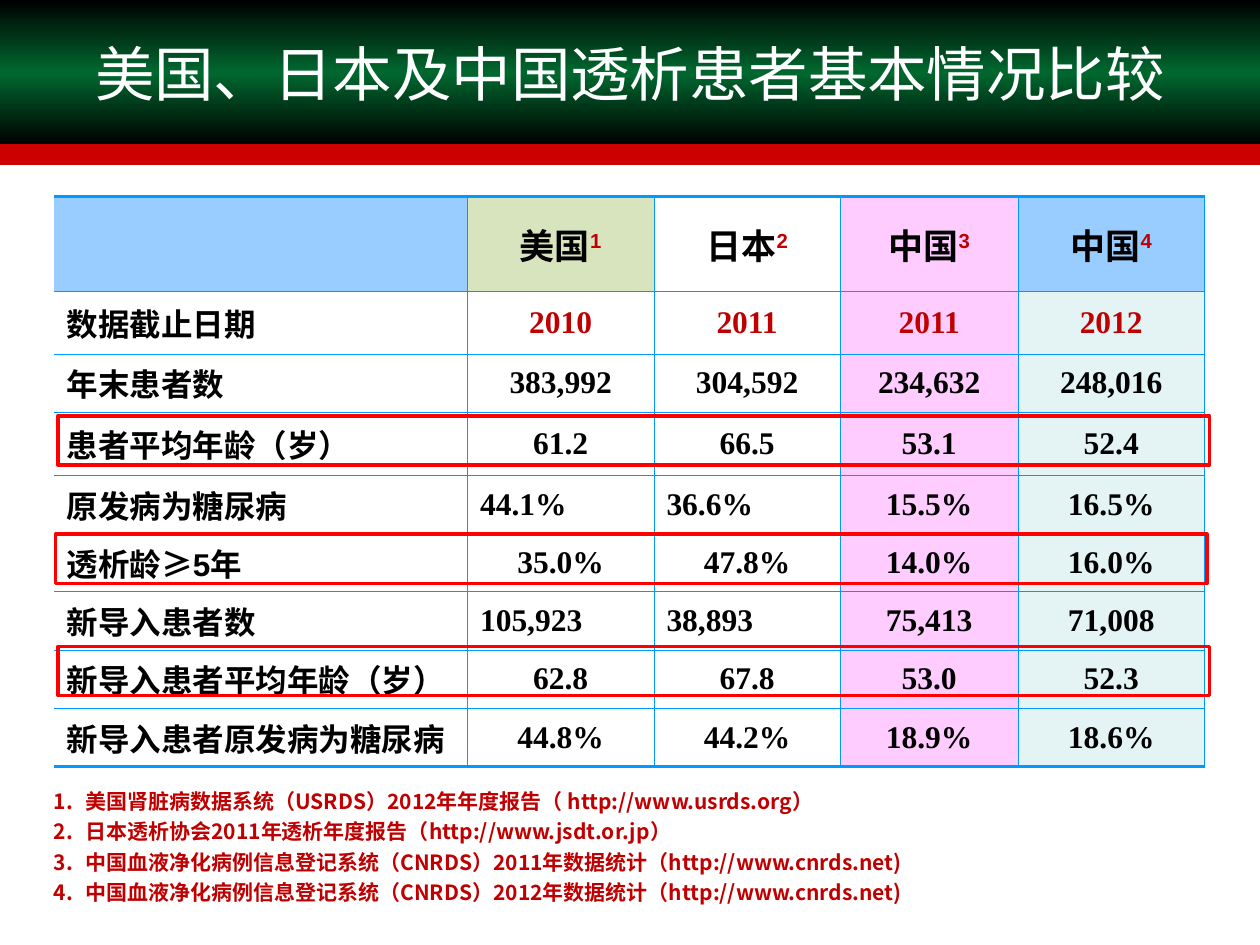
from copy import deepcopy

from lxml import etree
from pptx import Presentation
from pptx.dml.color import RGBColor
from pptx.enum.shapes import MSO_CONNECTOR, MSO_SHAPE
from pptx.enum.text import MSO_ANCHOR, MSO_AUTO_SIZE, PP_ALIGN
from pptx.oxml.ns import qn
from pptx.util import Inches, Pt

LEFT, CENTER = PP_ALIGN.LEFT, PP_ALIGN.CENTER
MIDDLE = MSO_ANCHOR.MIDDLE
NO_AUTOFIT = MSO_AUTO_SIZE.NONE
STRAIGHT = MSO_CONNECTOR.STRAIGHT
RECTANGLE = MSO_SHAPE.RECTANGLE

BLACK = RGBColor(0x00, 0x00, 0x00)
WHITE = RGBColor(0xFF, 0xFF, 0xFF)
GREEN = RGBColor(0x00, 0x68, 0x2F)
BAND_RED = RGBColor(0xCC, 0x00, 0x00)
DARK_RED = RGBColor(0xC0, 0x00, 0x00)
BRIGHT_RED = RGBColor(0xFF, 0x00, 0x00)
BORDER_BLUE = RGBColor(0x00, 0x99, 0xFF)
SKY = RGBColor(0x99, 0xCC, 0xFF)
OLIVE = RGBColor(0xD7, 0xE4, 0xBD)
PINK = RGBColor(0xFF, 0xCC, 0xFF)
MINT = RGBColor(0xE4, 0xF3, 0xF4)

SANS, SERIF, CHINESE = "Arial", "Times New Roman", "Noto Sans CJK SC"


def add_run(paragraph, text, size, font_name, color, bold=True):
    run = paragraph.add_run()
    run.text = text
    run.font.size = Pt(size)
    run.font.bold = bold
    run.font.color.rgb = color
    run.font.name = font_name
    properties = run._r.get_or_add_rPr()
    etree.SubElement(properties, qn("a:ea"), typeface=CHINESE)
    return properties


def set_borders(cell, widths):
    properties = cell._tc.get_or_add_tcPr()
    for position, (side, width) in enumerate(widths.items()):
        line = etree.Element(qn(f"a:ln{side}"), w=str(Pt(width)))
        if width:
            fill = etree.SubElement(line, qn("a:solidFill"))
            etree.SubElement(fill, qn("a:srgbClr"), val=str(BORDER_BLUE))
        else:
            etree.SubElement(line, qn("a:noFill"))
        properties.insert(position, line)


presentation = Presentation()
presentation.slide_width = Inches(10)
presentation.slide_height = Inches(7.5)
slide = presentation.slides.add_slide(presentation.slide_layouts[5])

title = slide.shapes.title
title.left, title.top = Inches(0), Inches(0)
title.width, title.height = Inches(10), Inches(1.15)
title.fill.gradient()
title.fill.gradient_angle = 90
stops = title.fill.gradient_stops
first_stop = stops[0]._gs
first_stop.addnext(deepcopy(first_stop))
for stop, color, position in zip(title.fill.gradient_stops, (BLACK, GREEN, BLACK), (0, 0.5, 1)):
    stop.color.rgb = color
    stop.position = position
title.text_frame.auto_size = NO_AUTOFIT
title.text_frame.vertical_anchor = MIDDLE
title_paragraph = title.text_frame.paragraphs[0]
title_paragraph.alignment = CENTER
add_run(title_paragraph, "美国、日本及中国透析患者基本情况比较", 34, SERIF, WHITE, False)

band = slide.shapes.add_connector(STRAIGHT, Inches(0), Inches(1.23), Inches(10), Inches(1.23))
band.line.color.rgb = BAND_RED
band.line.width = Pt(12)
etree.SubElement(band._element.spPr, qn("a:effectLst"))

headers = ["", "美国", "日本", "中国", "中国"]
rows = [
    ["数据截止日期", "2010", "2011", "2011", "2012"],
    ["年末患者数", "383,992", "304,592", "234,632", "248,016"],
    ["患者平均年龄（岁）", "61.2", "66.5", "53.1", "52.4"],
    ["原发病为糖尿病", "44.1%", "36.6%", "15.5%", "16.5%"],
    ["透析龄≥5年", "35.0%", "47.8%", "14.0%", "16.0%"],
    ["新导入患者数", "105,923", "38,893", "75,413", "71,008"],
    ["新导入患者平均年龄（岁）", "62.8", "67.8", "53.0", "52.3"],
    ["新导入患者原发病为糖尿病", "44.8%", "44.2%", "18.9%", "18.6%"],
]
header_fills = [SKY, OLIVE, None, PINK, SKY]
body_fills = [None, WHITE, None, PINK, MINT]
column_widths = [3.28, 1.48, 1.48, 1.41, 1.48]
row_heights = [0.75, 0.5, 0.44, 0.5] + [0.44] * 5
left_aligned_rows = (4, 6)

table = slide.shapes.add_table(
    len(row_heights), len(column_widths), Inches(0.43), Inches(1.56), Inches(9.14), Inches(4.42)
).table
table.first_row = False
table.horz_banding = False
for column, width in zip(table.columns, column_widths):
    column.width = Inches(width)
for row, height in zip(table.rows, row_heights):
    row.height = Inches(height)

last_row = len(rows)
for row_index, texts in enumerate([headers] + rows):
    fills = body_fills if row_index else header_fills
    for column_index, text in enumerate(texts):
        cell = table.cell(row_index, column_index)
        cell.vertical_anchor = MIDDLE
        if fills[column_index] is None:
            cell.fill.background()
        else:
            cell.fill.solid()
            cell.fill.fore_color.rgb = fills[column_index]
        set_borders(cell, {
            "L": 0.45 if column_index else 0,
            "R": 0.45,
            "T": 0.45 if row_index else 1.47,
            "B": 1.47 if row_index == last_row else 0.45,
        })
        if not text:
            continue
        paragraph = cell.text_frame.paragraphs[0]
        left_aligned = column_index == 0 or (row_index in left_aligned_rows and column_index < 3)
        paragraph.alignment = LEFT if left_aligned else CENTER
        if row_index == 0:
            add_run(paragraph, text, 20, SANS, BLACK)
            add_run(paragraph, str(column_index), 20, SANS, DARK_RED).set("baseline", "30000")
        elif column_index == 0:
            add_run(paragraph, text, 18, SANS, BLACK)
        else:
            add_run(paragraph, text, 18, SERIF, DARK_RED if row_index == 1 else BLACK)

for left, top in [(0.46, 3.3), (0.44, 4.24), (0.46, 5.13)]:
    highlight = slide.shapes.add_shape(RECTANGLE, Inches(left), Inches(top), Inches(9.14), Inches(0.39))
    highlight.shadow.inherit = False
    highlight.fill.background()
    highlight.line.color.rgb = BRIGHT_RED
    highlight.line.width = Pt(2)

sources = [
    "美国肾脏病数据系统（USRDS）2012年年度报告（ http://www.usrds.org）",
    "日本透析协会2011年透析年度报告（http://www.jsdt.or.jp）",
    "中国血液净化病例信息登记系统（CNRDS）2011年数据统计（http://www.cnrds.net)",
    "中国血液净化病例信息登记系统（CNRDS）2012年数据统计（http://www.cnrds.net)",
]
source_box = slide.shapes.add_textbox(Inches(0.33), Inches(6.17), Inches(7.42), Inches(1.09))
source_frame = source_box.text_frame
source_frame.word_wrap = True
for index, source in enumerate(sources):
    paragraph = source_frame.add_paragraph() if index else source_frame.paragraphs[0]
    properties = paragraph._p.get_or_add_pPr()
    properties.set("marL", str(Inches(0.25)))
    properties.set("indent", str(Inches(-0.25)))
    bullet_color = etree.SubElement(properties, qn("a:buClr"))
    etree.SubElement(bullet_color, qn("a:srgbClr"), val=str(DARK_RED))
    etree.SubElement(properties, qn("a:buAutoNum"), type="arabicPeriod")
    paragraph.line_spacing = 1.2
    add_run(paragraph, source, 12, CHINESE, DARK_RED)

presentation.save("out.pptx")
